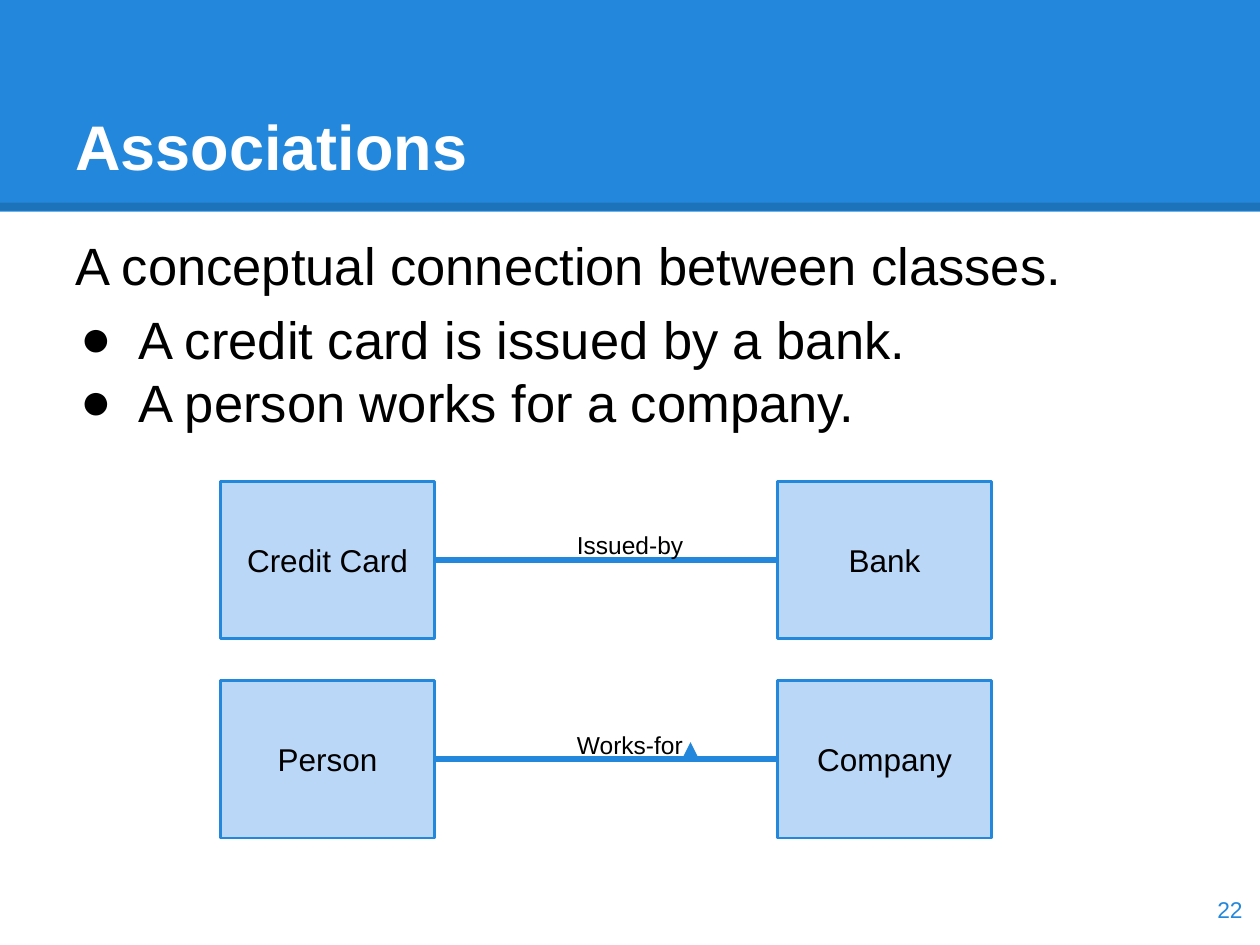
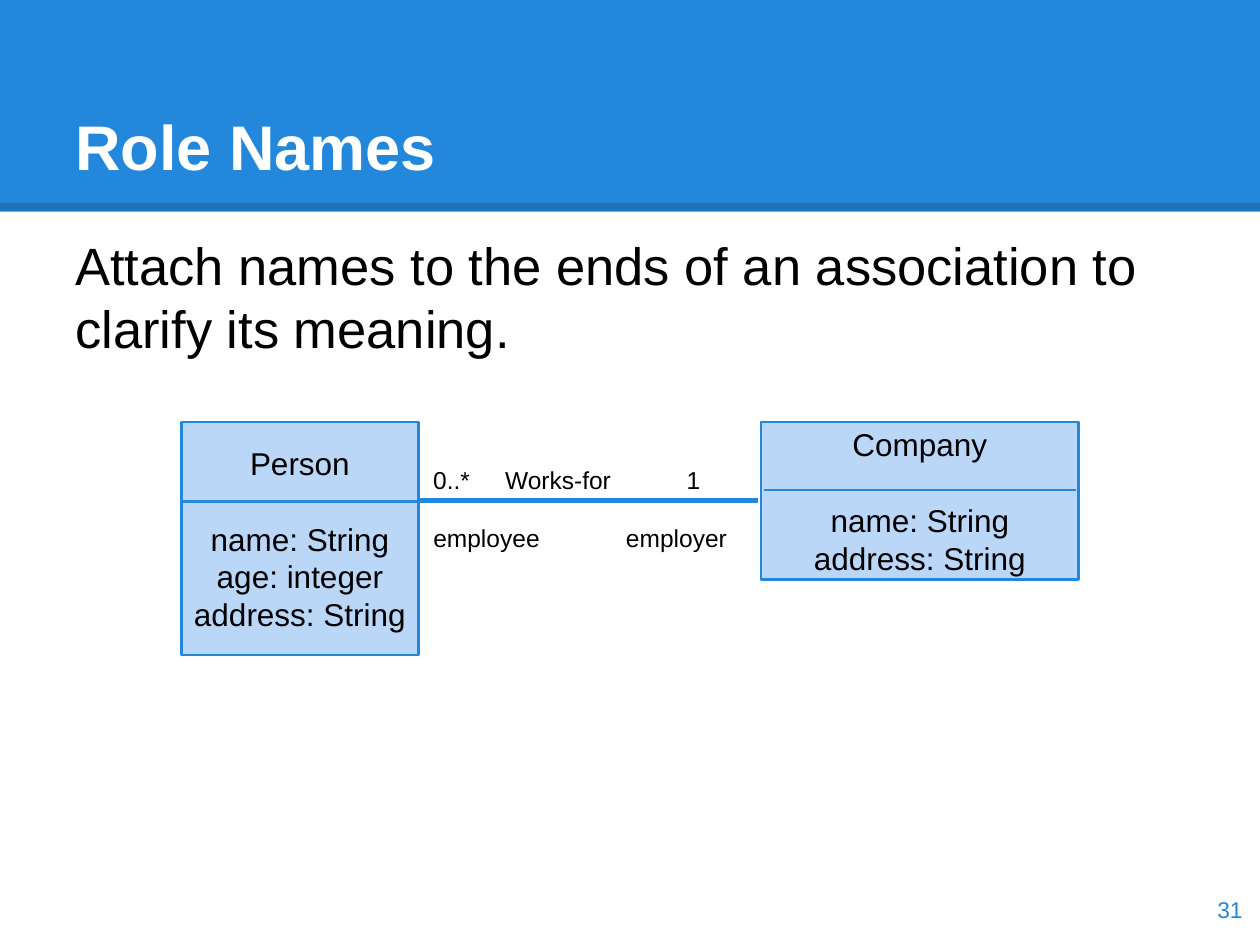
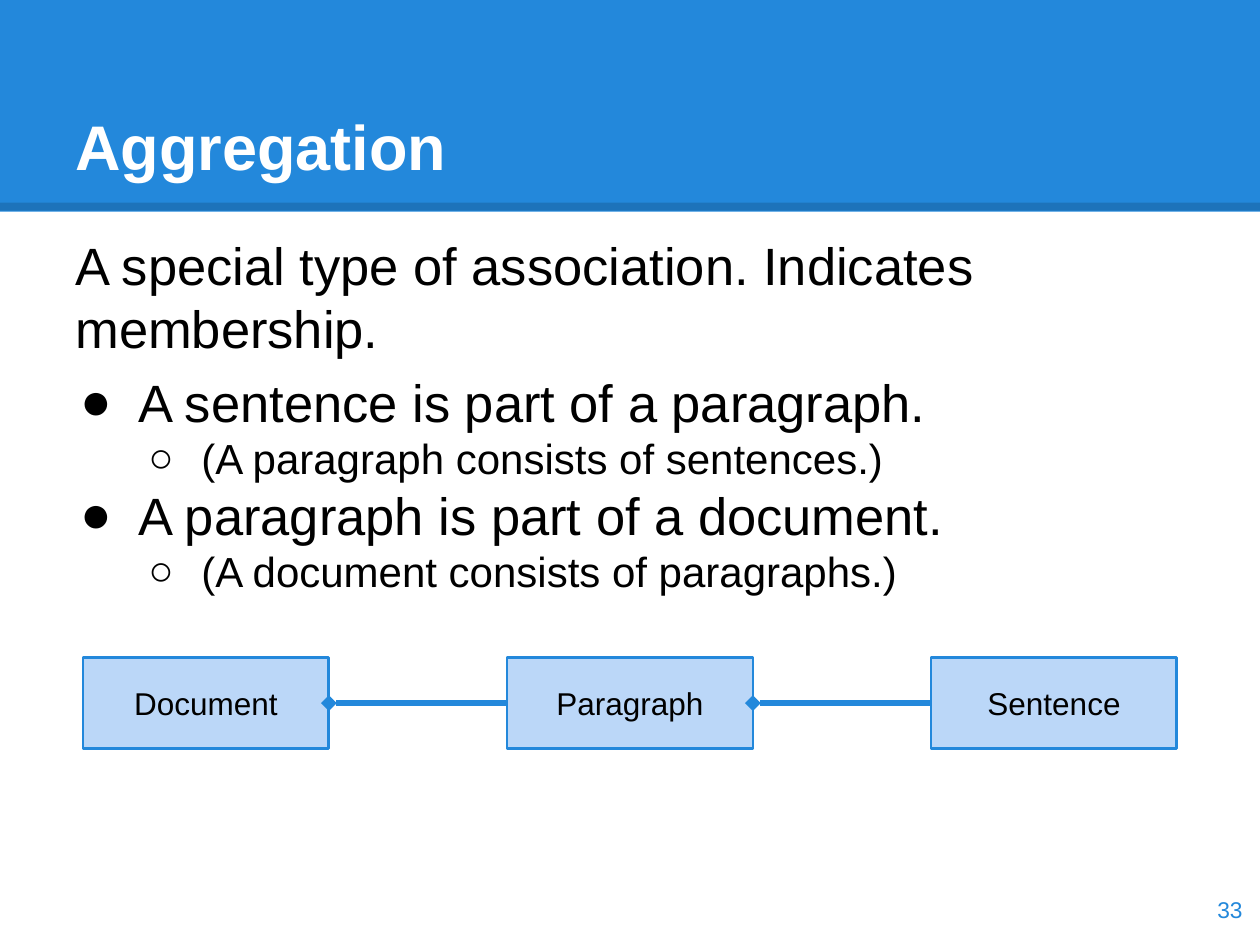
"""Build three slides on class associations."""
from lxml import etree
from pptx import Presentation
from pptx.dml.color import RGBColor
from pptx.enum.shapes import MSO_CONNECTOR, MSO_SHAPE
from pptx.enum.text import MSO_ANCHOR, PP_ALIGN
from pptx.oxml.ns import qn
from pptx.util import Inches, Pt

RECT = MSO_SHAPE.RECTANGLE
LINE = MSO_CONNECTOR.STRAIGHT
TOP, MID, LOW = MSO_ANCHOR.TOP, MSO_ANCHOR.MIDDLE, MSO_ANCHOR.BOTTOM
LEFT, CENTER, RIGHT = PP_ALIGN.LEFT, PP_ALIGN.CENTER, PP_ALIGN.RIGHT
BLUE, PALE, BLACK, WHITE = "2388DB", "BBD7F8", "000000", "FFFFFF"
FONT = "Arial"

PLAIN = {"size": 30}
DOT = {"size": 30, "mark": "●", "indent": 0.5, "hang": 0.46}
RING = {"size": 24, "mark": "○", "indent": 1, "hang": 0.42}
FIRST = {**DOT, "before": 6}

PAGES = [
    {"title": "Associations", "number": "22", "body": [
        ("A conceptual connection between classes.", PLAIN),
        ("A credit card is issued by a bank.", FIRST),
        ("A person works for a company.", DOT)]},
    {"title": "Role Names", "number": "31", "width": 9.41, "body": [
        ("Attach names to the ends of an association to clarify its meaning.",
         PLAIN)]},
    {"title": "Aggregation", "number": "33", "body": [
        ("A special type of association. Indicates membership.", PLAIN),
        ("A sentence is part of a paragraph.", FIRST),
        ("(A paragraph consists of sentences.)", RING),
        ("A paragraph is part of a document.", DOT),
        ("(A document consists of paragraphs.)", RING)]},
]
LINKS = [("Credit Card", "Issued-by", "Bank"),
         ("Person", "Works-for", "Company")]
CLASSES = [
    ((1.44, 3.35, 1.88, 1.85), "Person",
     ["name: String", "age: integer", "address: String"]),
    ((6.04, 3.35, 2.52, 1.25), "Company",
     ["name: String", "address: String"]),
]
RULES = [(1.45, 3.34, 3.98), (6.06, 8.54, 3.89)]
ROLES = [("0..*", 3.34, 3.59, 0.57), ("1", 5.35, 3.59, 0.69),
         ("Works-for", 3.91, 3.59, 1.55), ("employee", 3.34, 4.05, 1.12),
         ("employer", 4.87, 4.05, 1.17)]
PARTS = ["Document", "Paragraph", "Sentence"]


def color(code):
    return RGBColor.from_string(code)


def child(node, tag, **attrs):
    return etree.SubElement(node, qn(tag), attrs)


def add_mark(para, mark, indent, hang):
    props = para._p.get_or_add_pPr()
    props.set("marL", str(Inches(indent)))
    props.set("indent", str(-Inches(hang)))
    child(child(props, "a:buClr"), "a:srgbClr", val=BLACK)
    child(props, "a:buFont", typeface=FONT)
    child(props, "a:buChar", char=mark)


def write(frame, text, size=18, ink=BLACK, bold=False, align=LEFT,
          before=0, mark=None, indent=0, hang=0):
    para = frame.paragraphs[0]
    if para.runs:
        para = frame.add_paragraph()
    para.alignment = align
    para.space_before = Pt(before)
    if mark:
        add_mark(para, mark, indent, hang)
    run = para.add_run()
    run.text = text
    font = run.font
    font.name, font.size, font.bold = FONT, Pt(size), bold
    font.color.rgb = color(ink)


def set_frame(shape, anchor):
    frame = shape.text_frame
    frame.word_wrap = True
    frame.vertical_anchor = anchor
    frame.margin_left = frame.margin_right = Inches(0.1)
    frame.margin_top = frame.margin_bottom = Inches(0.1)
    return frame


def add_text(slide, spot, items, anchor=TOP):
    box = slide.shapes.add_textbox(*map(Inches, spot))
    frame = set_frame(box, anchor)
    for text, style in items:
        write(frame, text, **style)


def add_box(slide, spot, fill, edge=None):
    box = slide.shapes.add_shape(RECT, *map(Inches, spot))
    box.shadow.inherit = False
    box.fill.solid()
    box.fill.fore_color.rgb = color(fill)
    if edge:
        box.line.color.rgb = color(edge)
        box.line.width = Pt(1.5)
    else:
        box.line.fill.background()
    return box


def add_class(slide, spot, name, fields=()):
    frame = set_frame(add_box(slide, spot, PALE, BLUE), MID)
    write(frame, name, align=CENTER)
    for i, field in enumerate(fields):
        write(frame, field, align=CENTER, before=0 if i else 21.5)


def add_line(slide, start, end, width=3, ink=BLUE, tail=None, alpha=None):
    line = slide.shapes.add_connector(LINE, *map(Inches, (*start, *end)))
    line.line.color.rgb = color(ink)
    line.line.width = Pt(width)
    props = line._element.spPr
    if alpha:
        tint = props.find(".//" + qn("a:srgbClr"))
        child(tint, "a:alpha", val=str(alpha * 1000))
    if tail:
        child(props.find(qn("a:ln")), "a:tailEnd", type=tail)
    child(props, "a:effectLst")


def add_label(slide, text, left, top, width):
    add_text(slide, (left, top, width, 0.3), [(text, {"size": 14})])


def add_page(deck, page):
    slide = deck.slides.add_slide(deck.slide_layouts[6])
    add_box(slide, (0, 0, 10, 1.68), BLUE)
    add_line(slide, (0, 1.64), (10, 1.64), 4.5, BLACK, alpha=15)
    head = {"size": 36, "ink": WHITE, "bold": True}
    add_text(slide, (0.5, 0.3, 9, 1.25), [(page["title"], head)], LOW)
    add_text(slide, (0.5, 1.75, page.get("width", 9), 0.97), page["body"])
    foot = {"size": 13, "ink": BLUE, "align": RIGHT}
    add_text(slide, (9.36, 6.93, 0.6, 0.57), [(page["number"], foot)], MID)
    return slide


def draw_links(slide):
    left, right, wide, high = 1.75, 6.17, 1.7, 1.25
    for i, (source, verb, target) in enumerate(LINKS):
        top = 3.82 + i * 1.58
        mid = top + high / 2
        add_class(slide, (left, top, wide, high), source)
        add_class(slide, (right, top, wide, high), target)
        add_line(slide, (left + wide, mid), (right, mid))
        add_label(slide, verb, 4.48, top + 0.29, 1.55)
    add_line(slide, (5.48, 5.91), (5.48, 5.89), tail="triangle")


def draw_roles(slide):
    for spot, name, fields in CLASSES:
        add_class(slide, spot, name, fields)
    for start, end, top in RULES:
        add_line(slide, (start, top), (end, top), 1.5)
    add_line(slide, (6.02, 3.97), (3.33, 3.97))
    for role in ROLES:
        add_label(slide, *role)


def draw_parts(slide):
    left, top, wide, high, step = 0.66, 5.22, 1.95, 0.72, 3.365
    mid = top + high / 2
    spots = [left + i * step for i in range(len(PARTS))]
    for spot, name in zip(spots, PARTS):
        add_class(slide, (spot, top, wide, high), name)
    for whole, part in zip(spots, spots[1:]):
        add_line(slide, (part, mid), (whole + wide, mid), tail="diamond")


def main():
    deck = Presentation()
    deck.slide_width, deck.slide_height = Inches(10), Inches(7.5)
    for page, draw in zip(PAGES, (draw_links, draw_roles, draw_parts)):
        draw(add_page(deck, page))
    deck.save("out.pptx")


if __name__ == "__main__":
    main()
